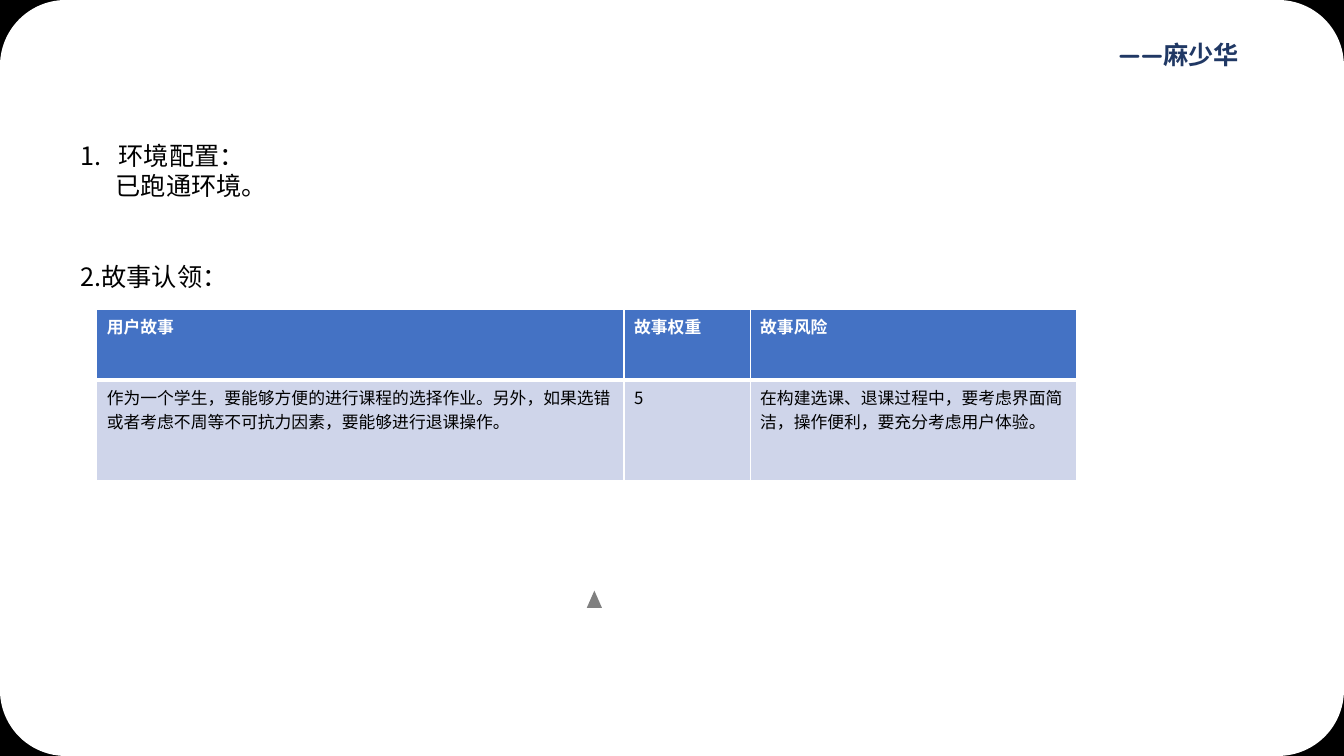
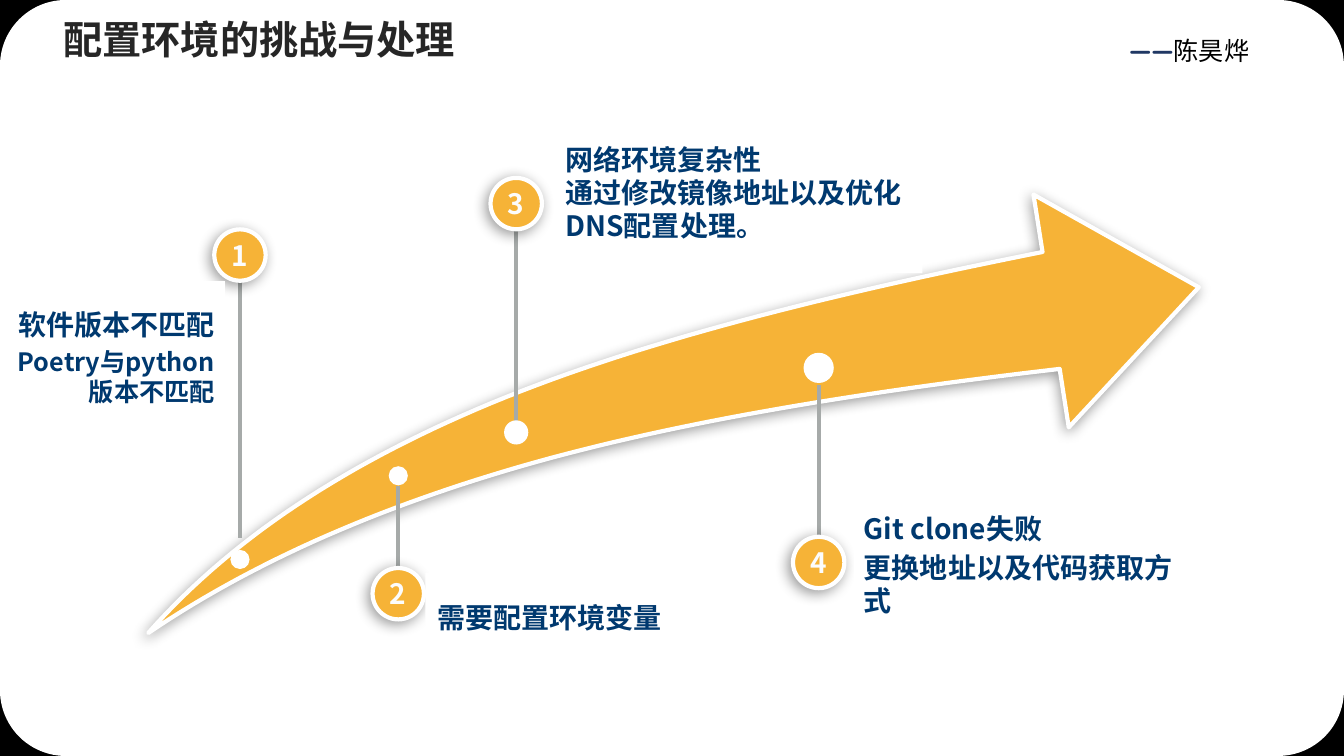
from lxml import etree
from pptx import Presentation
from pptx.dml.color import RGBColor
from pptx.enum.shapes import MSO_CONNECTOR, MSO_SHAPE
from pptx.enum.text import MSO_ANCHOR, MSO_AUTO_SIZE, PP_ALIGN
from pptx.oxml.ns import qn
from pptx.util import Inches, Pt

BLACK = RGBColor(0x00, 0x00, 0x00)
WHITE = RGBColor(0xFF, 0xFF, 0xFF)
OFF_WHITE = RGBColor(0xFC, 0xFC, 0xFC)
GRAY = RGBColor(0x80, 0x80, 0x80)
LINE_GRAY = RGBColor(0xA6, 0xAA, 0xA9)
TITLE_GRAY = RGBColor(0x26, 0x26, 0x26)
NAVY = RGBColor(0x20, 0x38, 0x64)
INK_BLUE = RGBColor(0x00, 0x39, 0x6F)
AMBER = RGBColor(0xF6, 0xB3, 0x37)
HEAD_BLUE = RGBColor(0x44, 0x72, 0xC4)
ROW_BLUE = RGBColor(0xCF, 0xD5, 0xEA)
CJK = "Noto Sans CJK SC"
LATIN = "Quicksand"
LAYOUT_TITLE, LAYOUT_BLANK = 5, 6
LINE_RATIO = 1.19


def add_xml(parent, tag, **attrs):
    el = etree.SubElement(parent, qn(tag))
    for key, value in attrs.items():
        el.set(key, str(value))
    return el


def bezier(p0, p1, p2, p3, steps=30):
    for i in range(1, steps + 1):
        t = i / steps
        u = 1 - t
        yield tuple(u**3 * a + 3 * u * u * t * b + 3 * u * t * t * c + t**3 * d
                    for a, b, c, d in zip(p0, p1, p2, p3))


class Deck:
    def __init__(self):
        self.prs = Presentation()
        self.prs.slide_width = Inches(13.33)
        self.prs.slide_height = Inches(7.5)
        self.s = None

    def new_slide(self, layout):
        self.s = self.prs.slides.add_slide(self.prs.slide_layouts[layout])
        if len(self.prs.slides) == 1:
            self.style_master()

    def style_master(self):
        master = self.prs.slide_master
        fill = master.background.fill
        fill.solid()
        fill.fore_color.rgb = BLACK
        panel = self.shape(MSO_SHAPE.ROUNDED_RECTANGLE, 0, 0, 13.33, 7.5, WHITE)
        panel.adjustments[0] = 0.087
        panel._element.nvSpPr.cNvPr.set("id", "100")
        master.shapes._spTree.insert(2, panel._element)

    def font(self, r, size, color, bold=False, name=CJK):
        r.font.size = Pt(size)
        r.font.bold = bold
        r.font.color.rgb = color
        r.font.name = name
        add_xml(r._r.get_or_add_rPr(), "a:ea", typeface=name)

    def paragraph(self, p, text, size, color, bold=False, align=PP_ALIGN.LEFT, before=0):
        p.text = text
        p.alignment = align
        p.line_spacing = Pt(round(size * LINE_RATIO, 1))
        if before:
            p.space_before = Pt(before)
        for r in p.runs:
            self.font(r, size, color, bold)

    def indent(self, p, left, first=0):
        pPr = p._p.get_or_add_pPr()
        pPr.set("marL", str(Inches(left)))
        pPr.set("indent", str(Inches(first)))
        return pPr

    def text_box(self, x, y, w, h):
        tf = self.s.shapes.add_textbox(Inches(x), Inches(y), Inches(w), Inches(h)).text_frame
        tf.word_wrap = True
        return tf

    def title(self, text, x, y, w, h):
        sp = self.s.shapes.title
        sp.left, sp.top, sp.width, sp.height = Inches(x), Inches(y), Inches(w), Inches(h)
        tf = sp.text_frame
        tf.word_wrap = False
        tf.auto_size = MSO_AUTO_SIZE.NONE
        tf.vertical_anchor = MSO_ANCHOR.TOP
        self.paragraph(tf.paragraphs[0], text, 28, TITLE_GRAY, True)

    def author(self, name, x, y, w, h, **style):
        p = self.text_box(x, y, w, h).paragraphs[0]
        self.indent(p, 3, 0.5)
        p.alignment = PP_ALIGN.CENTER
        p.line_spacing = Pt(18 * LINE_RATIO)
        dash = {"color": NAVY, "bold": True, "name": LATIN}
        for text, look in (("——", dash), (name, style or dash)):
            r = p.add_run()
            r.text = text
            self.font(r, 18, **look)

    def paint(self, sp, fill, outlined=False):
        sp.shadow.inherit = False
        sp.fill.solid()
        sp.fill.fore_color.rgb = fill
        if not outlined:
            sp.line.fill.background()
            return sp
        sp.line.color.rgb = WHITE
        sp.line.width = Pt(3)
        effects = sp._element.spPr.find(qn("a:effectLst"))
        shadow = add_xml(effects, "a:outerShdw", blurRad=Pt(10), dist=Pt(3),
                         dir=135 * 60000, algn="ctr", rotWithShape=0)
        color = add_xml(shadow, "a:srgbClr", val=BLACK)
        add_xml(color, "a:alpha", val=40000)
        return sp

    def shape(self, kind, x, y, w, h, fill, outlined=False):
        sp = self.s.shapes.add_shape(kind, Inches(x), Inches(y), Inches(w), Inches(h))
        return self.paint(sp, fill, outlined)

    def circle(self, cx, cy, d, fill, outlined=False):
        return self.shape(MSO_SHAPE.OVAL, cx - d / 2, cy - d / 2, d, d, fill, outlined)

    def badge(self, text, cx, cy, d):
        tf = self.circle(cx, cy, d, AMBER, True).text_frame
        tf.margin_left = tf.margin_right = tf.margin_top = tf.margin_bottom = 0
        tf.word_wrap = False
        tf.vertical_anchor = MSO_ANCHOR.MIDDLE
        self.paragraph(tf.paragraphs[0], text, 20, OFF_WHITE, True, PP_ALIGN.CENTER)

    def stem(self, x, y1, y2):
        line = self.s.shapes.add_connector(
            MSO_CONNECTOR.STRAIGHT, Inches(x), Inches(y1), Inches(x), Inches(y2))
        line.line.color.rgb = LINE_GRAY
        line.line.width = Pt(3)
        add_xml(line._element.spPr, "a:effectLst")

    def outline(self, points):
        pts = [(Inches(x), Inches(y)) for x, y in points]
        builder = self.s.shapes.build_freeform(*pts[0], scale=1.0)
        builder.add_line_segments(pts[1:], close=True)
        return self.paint(builder.convert_to_shape(), AMBER, True)

    def callout(self, box, lines, align, bottom):
        tf = self.shape(MSO_SHAPE.RECTANGLE, *box, WHITE).text_frame
        tf.word_wrap = True
        tf.vertical_anchor = MSO_ANCHOR.MIDDLE
        tf.margin_bottom = Inches(bottom)
        for i, (text, size) in enumerate(lines):
            p = tf.add_paragraph() if i else tf.paragraphs[0]
            self.paragraph(p, text, size, INK_BLUE, True, align, 4 if i else 0)

    def table(self, x, y, widths, heights, rows):
        frame = self.s.shapes.add_table(len(rows), len(widths), Inches(x), Inches(y),
                                        Inches(sum(widths)), Inches(sum(heights)))
        tbl = frame.table
        for col, w in zip(tbl.columns, widths):
            col.width = Inches(w)
        for i, (row, h) in enumerate(zip(rows, heights)):
            tbl.rows[i].height = Inches(h)
            for j, text in enumerate(row):
                self.cell(tbl.cell(i, j), text, head=i == 0)

    def cell(self, cell, text, head):
        cell.text = text
        self.font(cell.text_frame.paragraphs[0].runs[0], 12, WHITE if head else BLACK, head)
        cell.fill.solid()
        cell.fill.fore_color.rgb = HEAD_BLUE if head else ROW_BLUE
        tcPr = cell._tc.get_or_add_tcPr()
        for i, side in enumerate("LRTB"):
            width = 3 if head and side == "B" else 1
            ln = add_xml(tcPr, f"a:ln{side}", w=Pt(width))
            add_xml(add_xml(ln, "a:solidFill"), "a:srgbClr", val=WHITE)
            tcPr.insert(i, ln)


def story_slide(deck):
    deck.new_slide(LAYOUT_BLANK)
    deck.shape(MSO_SHAPE.ISOSCELES_TRIANGLE, 5.82, 5.86, 0.15, 0.17, GRAY)
    deck.table(0.96, 3.07, [5.23, 1.25, 3.24], [0.7, 1], [
        ["用户故事", "故事权重", "故事风险"],
        ["作为一个学生，要能够方便的进行课程的选择作业。另外，如果选错或者考虑不周等不可抗力因素，要能够进行退课操作。",
         "5",
         "在构建选课、退课过程中，要考虑界面简洁，操作便利，要充分考虑用户体验。"],
    ])
    deck.author("麻少华", 7.32, 0.34, 5.24, 0.4)
    tf = deck.text_box(0.7, 1.35, 6.43, 2.22)
    setup, done, claim = tf.paragraphs[0], tf.add_paragraph(), tf.add_paragraph()
    deck.paragraph(setup, "环境配置：", 18, BLACK)
    add_xml(deck.indent(setup, 0.38, -0.38), "a:buAutoNum", type="arabicPeriod")
    deck.paragraph(done, "已跑通环境。", 18, BLACK)
    deck.indent(done, 0.35)
    deck.paragraph(claim, "2.故事认领：", 18, BLACK, before=43)


def challenge_slide(deck):
    deck.new_slide(LAYOUT_TITLE)
    deck.title("配置环境的挑战与处理", 0.53, 0.11, 4.13, 0.57)
    tail, top_mid, neck_top = (1.47, 6.28), (4.87, 4), (10.34, 2.5)
    neck_low, low_mid = (10.51, 3.66), (5.33, 4.58)
    deck.outline([
        tail,
        *bezier(tail, (2.3, 5.34), (3.43, 4.6), top_mid),
        *bezier(top_mid, (6.34, 3.39), (8.18, 2.93), neck_top),
        (10.25, 1.93), (11.89, 2.85), (10.6, 4.24), neck_low,
        *bezier(neck_low, (8.54, 3.89), (6.81, 4.17), low_mid),
        *bezier(low_mid, (3.83, 5), (2.55, 5.55), tail),
    ])
    badge_d = 0.51
    stops = [
        (2.38, 2.53, 5.34, 5.55, 0.19),
        (3.95, 5.89, 4.82, 4.72, 0.19),
        (5.12, 2.02, 4.2, 4.29, 0.24),
        (8.12, 5.58, 3.82, 3.65, 0.3),
    ]
    for x, badge_y, stem_y, dot_y, dot_d in stops:
        edge = badge_d / 2 if stem_y > badge_y else -badge_d / 2
        deck.stem(x, badge_y + edge, stem_y)
    for n, (x, badge_y, stem_y, dot_y, dot_d) in enumerate(stops, 1):
        deck.badge(str(n), x, badge_y, badge_d)
        deck.circle(x, dot_y, dot_d, WHITE)
    left, right = PP_ALIGN.LEFT, PP_ALIGN.RIGHT
    callouts = [
        ((0.03, 2.79, 2.2, 1.5),
         [("软件版本不匹配", 20), ("Poetry与python版本不匹配", 18)], right, 0.05),
        ((5.51, 1.46, 3.64, 1.25),
         [("网络环境复杂性\v通过修改镜像地址以及优化DNS配置处理。", 20)], left, 0.4),
        ((4.22, 5.68, 2.44, 1.25), [("需要配置环境变量", 20)], right, 0.4),
        ((8.47, 5.15, 3.37, 1.25),
         [("Git clone失败", 20), ("更换地址以及代码获取方式", 20)], left, 0.4),
    ]
    for callout in callouts:
        deck.callout(*callout)
    deck.author("陈昊烨", 6.94, 0.3, 6.21, 0.71, color=BLACK)


def main():
    deck = Deck()
    story_slide(deck)
    challenge_slide(deck)
    deck.prs.save("out.pptx")


if __name__ == "__main__":
    main()
